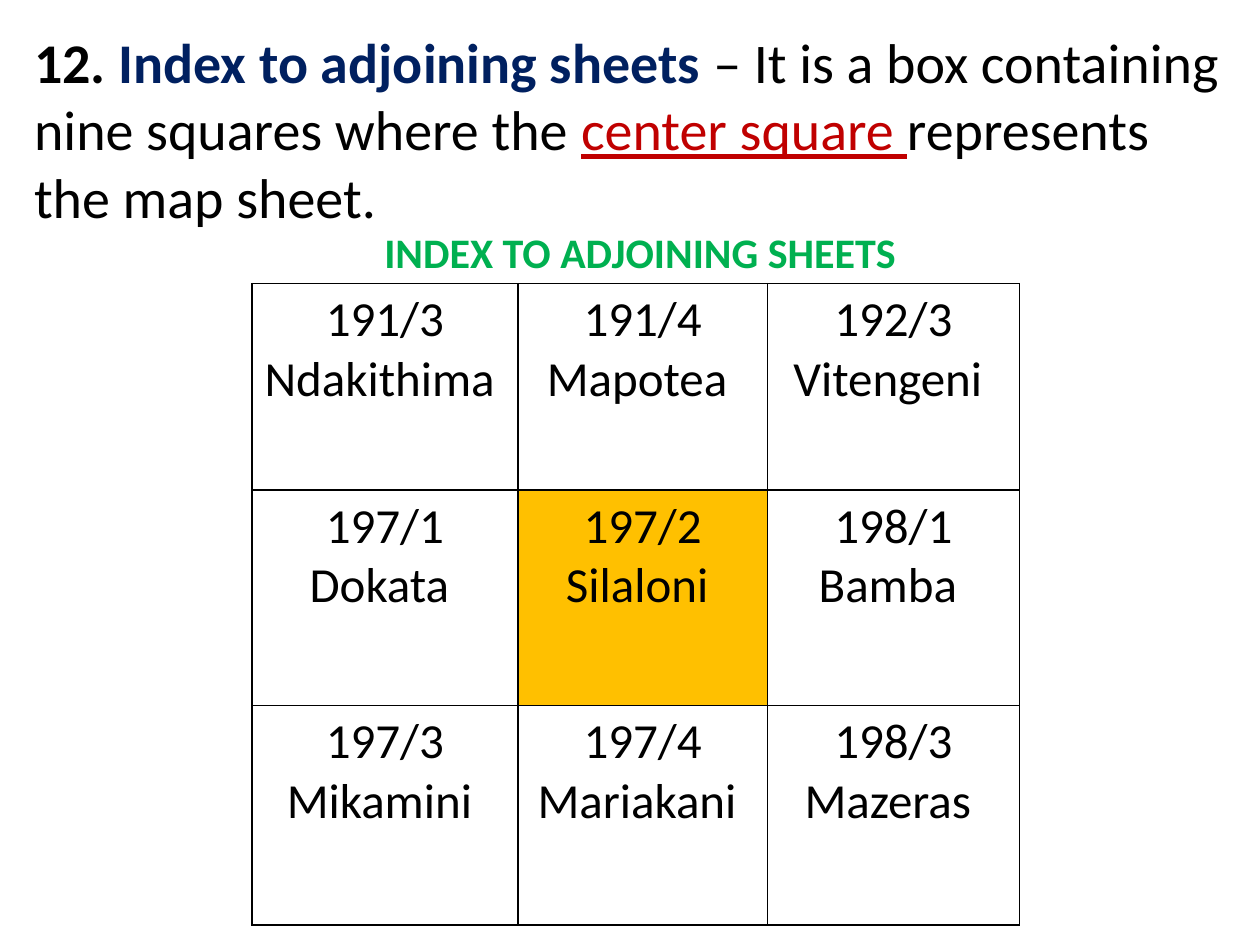
from dataclasses import dataclass

from lxml import etree
from pptx import Presentation
from pptx.dml.color import RGBColor
from pptx.enum import text
from pptx.oxml.ns import qn
from pptx.util import Inches, Pt


@dataclass(frozen=True)
class Theme:
    font: str = "Calibri"
    ink: str = "000000"
    term: str = "002060"
    emphasis: str = "C00000"
    heading: str = "00B050"
    center: str = "FFC000"
    definition_size: int = 32
    sheet_size: int = 28
    heading_size: int = 24
    border: float = 1


@dataclass(frozen=True)
class Sheet:
    number: str
    place: str
    place_align: text.PP_ALIGN = text.PP_ALIGN.CENTER
    fill: str | None = None


THEME = Theme()
COLUMN_WIDTHS = (2.11, 1.98, 2)
ROW_HEIGHTS = (1.64, 1.71, 1.74)
SHEETS = (
    (Sheet("191/3", "Ndakithima", text.PP_ALIGN.LEFT), Sheet("191/4", "Mapotea "), Sheet("192/3", "Vitengeni ")),
    (Sheet("197/1", "Dokata "), Sheet("197/2", "Silaloni ", fill=THEME.center), Sheet("198/1", "Bamba ")),
    (Sheet("197/3", "Mikamini "), Sheet("197/4", "Mariakani "), Sheet("198/3", "Mazeras ")),
)


def write(paragraph, words: str, *, size: float, color: str = THEME.ink,
          bold: bool = False, underline: bool = False, align=None) -> None:
    run = paragraph.add_run()
    run.text = words
    run.font.name = THEME.font
    run.font.size = Pt(size)
    run.font.bold = bold
    run.font.underline = underline
    run.font.color.rgb = RGBColor.from_string(color)
    if align is not None:
        paragraph.alignment = align


def draw_borders(cell) -> None:
    properties = cell._tc.get_or_add_tcPr()
    for position, side in enumerate(("lnL", "lnR", "lnT", "lnB")):
        line = etree.Element(qn(f"a:{side}"), w=str(Pt(THEME.border)))
        fill = etree.SubElement(line, qn("a:solidFill"))
        etree.SubElement(fill, qn("a:srgbClr"), val=THEME.ink)
        properties.insert(position, line)


def draw_sheet(cell, sheet: Sheet) -> None:
    if sheet.fill:
        cell.fill.solid()
        cell.fill.fore_color.rgb = RGBColor.from_string(sheet.fill)
    else:
        cell.fill.background()
    draw_borders(cell)
    frame = cell.text_frame
    write(frame.paragraphs[0], sheet.number, size=THEME.sheet_size, align=text.PP_ALIGN.CENTER)
    write(frame.add_paragraph(), sheet.place, size=THEME.sheet_size, align=sheet.place_align)


def draw_definition(slide) -> None:
    definition = slide.placeholders[1]
    definition.left, definition.top = Inches(0.17), Inches(0.17)
    definition.width, definition.height = Inches(9.75), Inches(7.33)
    definition.text_frame.auto_size = text.MSO_AUTO_SIZE.NONE
    paragraph = definition.text_frame.paragraphs[0]
    properties = paragraph._p.get_or_add_pPr()
    properties.set("marL", "0")
    properties.set("indent", "0")
    etree.SubElement(properties, qn("a:buNone"))
    size = THEME.definition_size
    write(paragraph, "12. ", size=size, bold=True)
    write(paragraph, "Index to adjoining sheets ", size=size, color=THEME.term, bold=True)
    write(paragraph, "– It is a box containing nine squares where the ", size=size)
    write(paragraph, "center square ", size=size, color=THEME.emphasis, underline=True)
    write(paragraph, "represents the map sheet.", size=size)


def draw_index(slide) -> None:
    index = slide.shapes.add_table(
        len(ROW_HEIGHTS), len(COLUMN_WIDTHS), Inches(2), Inches(2.25),
        Inches(sum(COLUMN_WIDTHS)), Inches(sum(ROW_HEIGHTS))).table
    index.first_row = index.horz_banding = False
    for column, width in zip(index.columns, COLUMN_WIDTHS):
        column.width = Inches(width)
    for row, height, sheets in zip(index.rows, ROW_HEIGHTS, SHEETS):
        row.height = Inches(height)
        for cell, sheet in zip(row.cells, sheets):
            draw_sheet(cell, sheet)


def draw_heading(slide) -> None:
    heading = slide.shapes.add_textbox(Inches(1.83), Inches(1.83), Inches(6.5), Inches(0.33)).text_frame
    heading.word_wrap = True
    heading.vertical_anchor = text.MSO_ANCHOR.MIDDLE
    write(heading.paragraphs[0], "INDEX TO ADJOINING SHEETS", size=THEME.heading_size,
          color=THEME.heading, bold=True, align=text.PP_ALIGN.CENTER)


def main() -> None:
    deck = Presentation()
    deck.slide_width, deck.slide_height = Inches(10), Inches(7.5)
    slide = deck.slides.add_slide(deck.slide_layouts[1])
    title = slide.shapes.title
    title.element.getparent().remove(title.element)
    draw_definition(slide)
    draw_index(slide)
    draw_heading(slide)
    deck.save("out.pptx")


if __name__ == "__main__":
    main()
